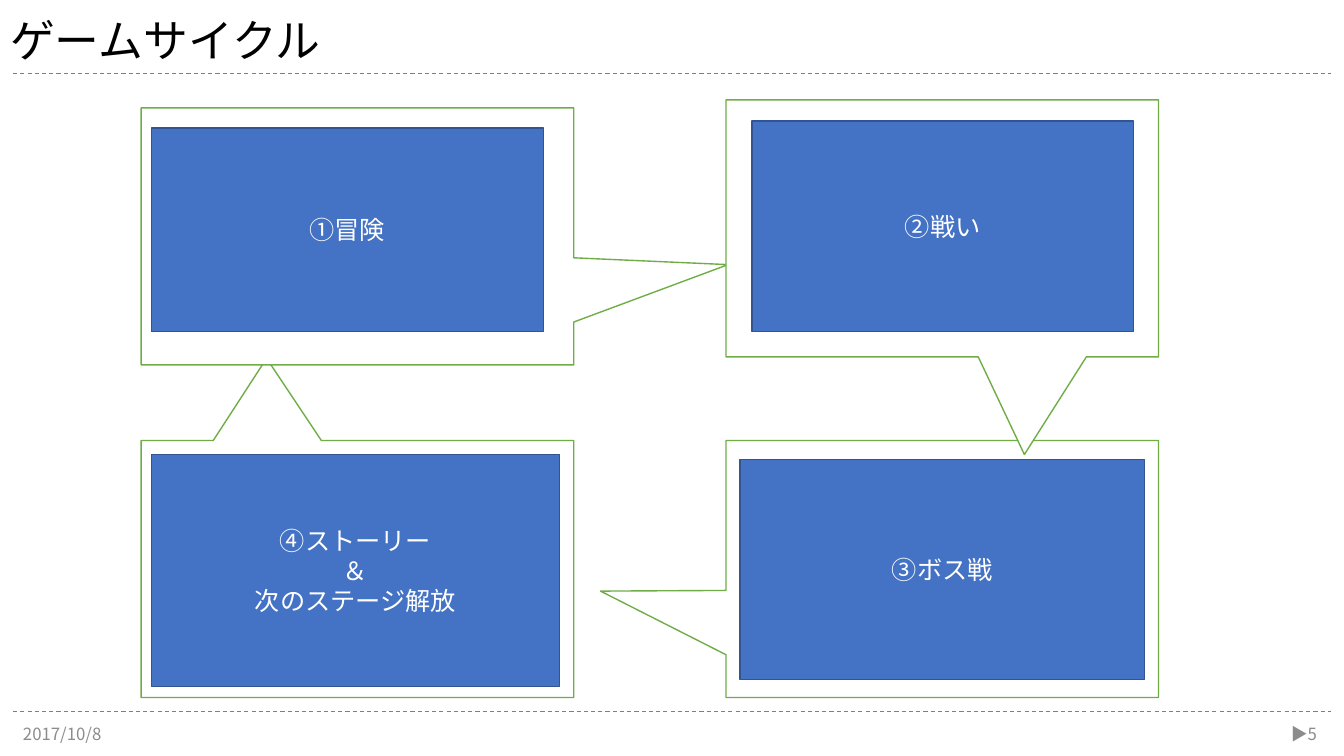
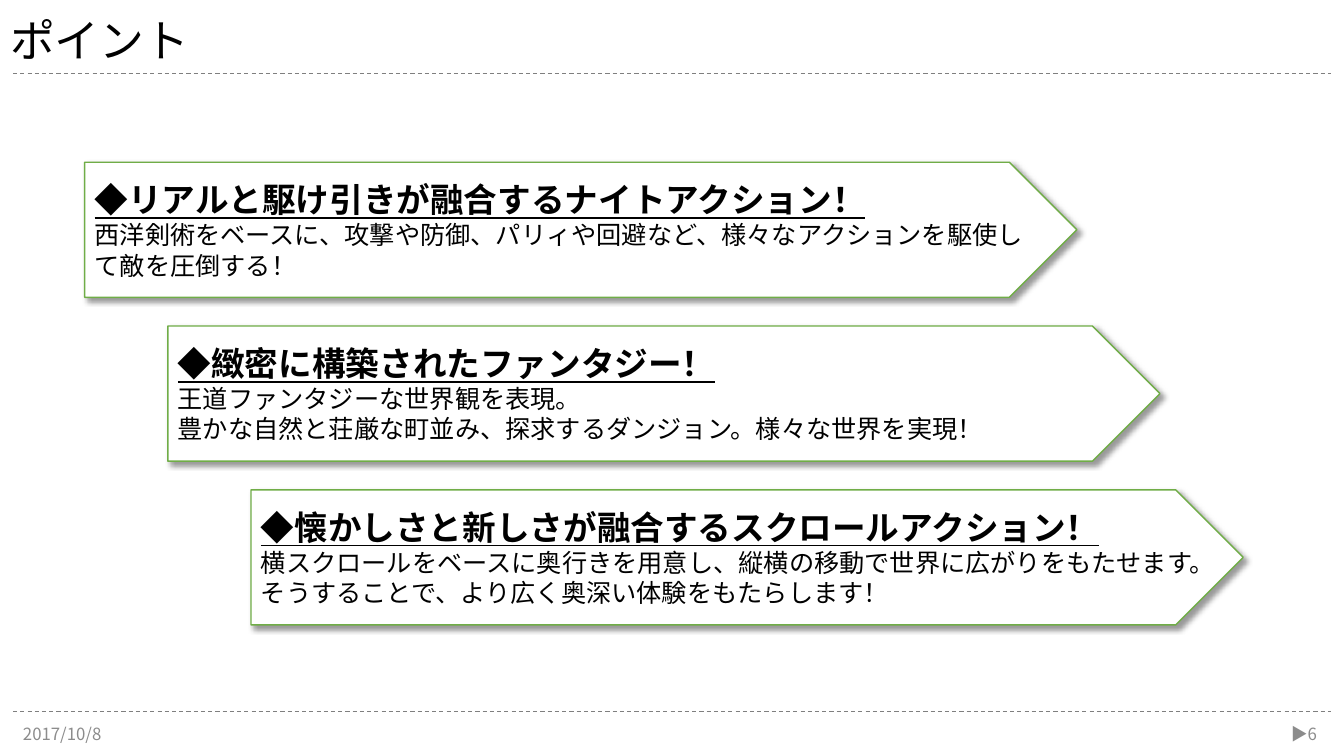
from lxml.etree import SubElement
from pptx import Presentation
from pptx.dml.color import RGBColor
from pptx.enum.dml import MSO_LINE_DASH_STYLE as Dash
from pptx.enum.shapes import MSO_CONNECTOR as Connector, MSO_SHAPE as Preset
from pptx.enum.text import MSO_ANCHOR as Anchor, MSO_AUTO_SIZE as AutoSize, PP_ALIGN as Align
from pptx.oxml.ns import qn
from pptx.util import Inches, Pt

SLIDE_W, SLIDE_H = 13.33, 7.5
MARGIN = 0.13
RULE_ROWS = (0.73, 7.06)
FOOTER_TOP, FOOTER_W, FOOTER_H = 7.08, 3, 0.4
FIRST_PAGE = 5
TITLE_ONLY = 5
FONT = "Noto Sans CJK JP"
COLORS = {
    "text": "000000",
    "paper": "FFFFFF",
    "muted": "8C8C8C",
    "rule": "7F7F7F",
    "green": "70AD47",
    "blue": "4472C4",
    "navy": "325491",
}

COLUMNS = (1.4, 7.2)
CALLOUT_W, CALLOUT_H = 4.29, 2.55
STAGES = [
    ((COLUMNS[0], 4.37), (-0.21, -0.82), (1.5, 4.51, 4.05, 2.3),
     ["④ストーリー", "＆", "次のステージ解放"]),
    ((COLUMNS[0], 1.07), (0.857, 0.11), (1.5, 1.27, 3.89, 2.02), ["①冒険"]),
    ((COLUMNS[1], 4.37), (-0.79, 0.086), (7.34, 4.56, 4.01, 2.18), ["③ボス戦"]),
    ((COLUMNS[1], 0.99), (0.19, 0.88), (7.46, 1.2, 3.78, 2.09), ["②戦い"]),
]

ARROW_LEFT, ARROW_TOP = 0.84, 1.61
STEP_X, STEP_Y = 0.825, 1.625
ARROW_W, ARROW_H = 9.84, 1.34
POINTS = [
    ("◆リアルと駆け引きが融合するナイトアクション！",
     ["西洋剣術をベースに、攻撃や防御、パリィや回避など、様々なアクションを駆使して敵を圧倒する！"]),
    ("◆緻密に構築されたファンタジー！",
     ["王道ファンタジーな世界観を表現。",
      "豊かな自然と荘厳な町並み、探求するダンジョン。様々な世界を実現！"]),
    ("◆懐かしさと新しさが融合するスクロールアクション！",
     ["横スクロールをベースに奥行きを用意し、縦横の移動で世界に広がりをもたせます。"
      "そうすることで、より広く奥深い体験をもたらします！"]),
]


def color(name):
    return RGBColor.from_string(COLORS[name])


def box(left, top, width, height):
    return [Inches(length) for length in (left, top, width, height)]


def write(shape, text, size=18, ink="text", bold=False, underline=False,
          align=Align.LEFT, spacing=None):
    frame = shape.text_frame
    frame.word_wrap = True
    frame.auto_size = AutoSize.NONE
    frame.vertical_anchor = Anchor.MIDDLE
    paragraph = frame.add_paragraph() if frame.text else frame.paragraphs[0]
    paragraph.alignment = align
    paragraph.line_spacing = spacing
    run = paragraph.add_run()
    run.text = text
    font = run.font
    font.size = Pt(size)
    font.bold = bold
    font.underline = underline
    font.color.rgb = color(ink)
    font.name = FONT
    SubElement(run._r.get_or_add_rPr(), qn("a:ea"), typeface=FONT)


def add_panel(slide, preset, area, fill, line):
    panel = slide.shapes.add_shape(preset, *box(*area))
    panel.shadow.inherit = False
    panel.fill.solid()
    panel.fill.fore_color.rgb = color(fill)
    panel.line.color.rgb = color(line)
    panel.line.width = Pt(1)
    return panel


def cast_shadow(panel):
    effects = panel._element.spPr.find(qn("a:effectLst"))
    shadow = SubElement(effects, qn("a:outerShdw"), blurRad=str(Pt(4)), dist=str(Pt(3)),
                        dir="2700000", algn="tl", rotWithShape="0")
    tint = SubElement(shadow, qn("a:srgbClr"), val=COLORS["text"])
    SubElement(tint, qn("a:alpha"), val="40000")


def add_rule(slide, row):
    rule = slide.shapes.add_connector(Connector.STRAIGHT, Inches(MARGIN), Inches(row),
                                      Inches(SLIDE_W - MARGIN), Inches(row))
    rule.line.color.rgb = color("rule")
    rule.line.width = Pt(0.75)
    rule.line.dash_style = Dash.DASH
    SubElement(rule._element.spPr, qn("a:effectLst"))


def add_footer(slide, left, text, align):
    footer = slide.shapes.add_textbox(*box(left, FOOTER_TOP, FOOTER_W, FOOTER_H))
    write(footer, text, size=12, ink="muted", align=align)


def add_page(prs, heading):
    slide = prs.slides.add_slide(prs.slide_layouts[TITLE_ONLY])
    title = slide.shapes.title
    title.left, title.top, title.width, title.height = box(0, 0.16, 8.49, 0.57)
    write(title, heading, size=32, spacing=0.8)
    for row in RULE_ROWS:
        add_rule(slide, row)
    number = FIRST_PAGE + len(prs.slides) - 1
    add_footer(slide, MARGIN, "2017/10/8", Align.LEFT)
    add_footer(slide, SLIDE_W - MARGIN - FOOTER_W - 0.04, f"▶{number}", Align.RIGHT)
    return slide


def add_callout(slide, corner, tip):
    callout = add_panel(slide, Preset.RECTANGULAR_CALLOUT,
                        (*corner, CALLOUT_W, CALLOUT_H), "paper", "green")
    callout.adjustments[0], callout.adjustments[1] = tip


def add_stage(slide, area, lines):
    stage = add_panel(slide, Preset.RECTANGLE, area, "blue", "navy")
    for line in lines:
        write(stage, line, ink="paper", align=Align.CENTER)


def add_point(slide, index, headline, details):
    area = (ARROW_LEFT + index * STEP_X, ARROW_TOP + index * STEP_Y, ARROW_W, ARROW_H)
    arrow = add_panel(slide, Preset.PENTAGON, area, "paper", "green")
    cast_shadow(arrow)
    write(arrow, headline, size=24, bold=True, underline=True)
    for detail in details:
        write(arrow, detail)


def main():
    prs = Presentation()
    prs.slide_width, prs.slide_height = Inches(SLIDE_W), Inches(SLIDE_H)

    cycle = add_page(prs, "ゲームサイクル")
    for corner, tip, _, _ in STAGES:
        add_callout(cycle, corner, tip)
    for _, _, area, lines in STAGES:
        add_stage(cycle, area, lines)

    points = add_page(prs, "ポイント")
    for index, (headline, details) in enumerate(POINTS):
        add_point(points, index, headline, details)

    prs.save("out.pptx")


if __name__ == "__main__":
    main()
